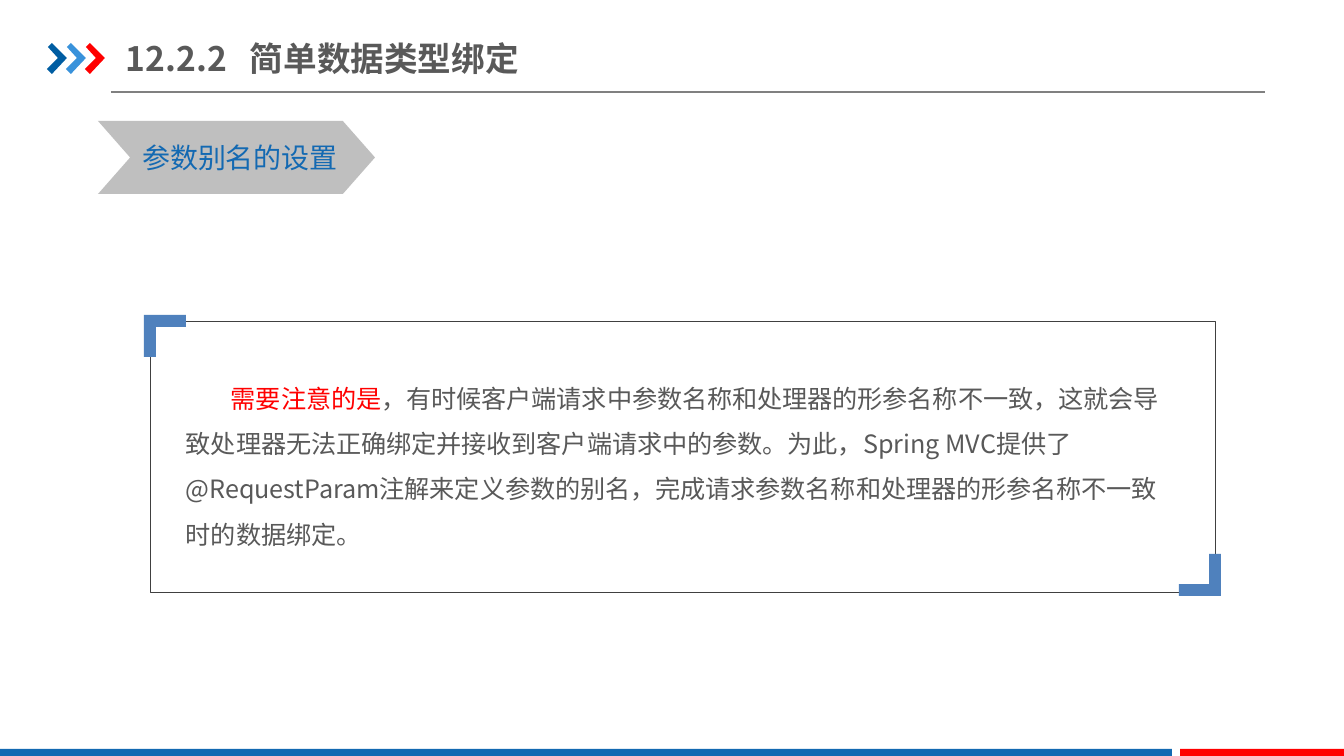
from dataclasses import dataclass

from lxml.etree import SubElement
from pptx import Presentation
from pptx.dml.color import RGBColor
from pptx.enum.shapes import MSO_CONNECTOR, MSO_SHAPE
from pptx.enum.text import MSO_ANCHOR
from pptx.oxml.ns import qn
from pptx.shapes.autoshape import Shape
from pptx.slide import Slide
from pptx.text.text import TextFrame, _Paragraph, _Run
from pptx.util import Emu, Pt

EMU_PER_PX = 914400 / 134.4
FONT = "Noto Sans CJK SC"

WHITE = RGBColor(0xFF, 0xFF, 0xFF)
NAVY = RGBColor(0x00, 0x5D, 0xA2)
SKY = RGBColor(0x39, 0x92, 0xDB)
RED = RGBColor(0xFF, 0x00, 0x00)
BLUE = RGBColor(0x13, 0x69, 0xB2)
CORNER_BLUE = RGBColor(0x4F, 0x81, 0xBD)
SILVER = RGBColor(0xBF, 0xBF, 0xBF)
GRAY = RGBColor(0x80, 0x80, 0x80)
TEXT_GRAY = RGBColor(0x59, 0x59, 0x59)
FRAME_GRAY = RGBColor(0x40, 0x40, 0x40)

ARROW_POINTS = [(1, 4), (5, 0), (20, 15), (5, 31), (0, 26), (11, 15)]
CORNER_POINTS = [(0, 0), (42, 0), (42, 12), (12, 12), (12, 42), (0, 42)]
ARROW_STEP = 19


@dataclass
class Area:
    left: int
    top: int
    width: int
    height: int

    def emu(self) -> list[Emu]:
        return [px(n) for n in (self.left, self.top, self.width, self.height)]


@dataclass
class Outline:
    left: int
    top: int
    points: list[tuple[int, int]]
    color: RGBColor
    rotation: int = 0


@dataclass
class Block:
    preset: MSO_SHAPE
    area: Area
    color: RGBColor


def px(length: int) -> Emu:
    return Emu(round(length * EMU_PER_PX))


def paint(shape: Shape, color: RGBColor) -> None:
    shape.shadow.inherit = False
    shape.fill.solid()
    shape.fill.fore_color.rgb = color
    shape.line.fill.background()


def draw_block(page: Slide, block: Block) -> Shape:
    shape = page.shapes.add_shape(block.preset, *block.area.emu())
    paint(shape, block.color)
    return shape


def draw_outline(page: Slide, outline: Outline) -> None:
    points = [(outline.left + x, outline.top + y) for x, y in outline.points]
    builder = page.shapes.build_freeform(*points[0], scale=EMU_PER_PX)
    builder.add_line_segments(points[1:], close=True)
    shape = builder.convert_to_shape()
    paint(shape, outline.color)
    shape.rotation = outline.rotation


def add_text_frame(page: Slide, area: Area, side: int, edge: int) -> TextFrame:
    """Add a wrapping text box with the given horizontal and vertical insets."""
    frame = page.shapes.add_textbox(*area.emu()).text_frame
    frame.word_wrap = True
    frame.margin_left = frame.margin_right = px(side)
    frame.margin_top = frame.margin_bottom = px(edge)
    return frame


def add_span(para: _Paragraph, text: str, size: float, color: RGBColor) -> _Run:
    span = para.add_run()
    span.text = text
    span.font.size = Pt(size)
    span.font.color.rgb = color
    span.font.name = FONT
    SubElement(span.font._element, qn("a:ea"), typeface=FONT)
    return span


def draw_header(page: Slide) -> None:
    rule = page.shapes.add_connector(
        MSO_CONNECTOR.STRAIGHT, px(111), px(92), px(1265), px(92)
    )
    rule.line.color.rgb = GRAY
    rule.line.width = Pt(0.75)
    SubElement(rule._element.spPr, qn("a:effectLst"))

    for index, color in enumerate((NAVY, SKY, RED)):
        draw_outline(page, Outline(47 + index * ARROW_STEP, 43, ARROW_POINTS, color))

    frame = add_text_frame(page, Area(126, 30, 445, 56), 0, 7)
    frame.vertical_anchor = MSO_ANCHOR.MIDDLE
    para = frame.paragraphs[0]
    tabs = SubElement(para._p.get_or_add_pPr(), qn("a:tabLst"))
    SubElement(tabs, qn("a:tab"), pos=str(px(124)), algn="l")
    add_span(para, "12.2.2\t简单数据类型绑定", 18, TEXT_GRAY).font.bold = True


def draw_topic(page: Slide) -> None:
    banner = draw_block(page, Block(MSO_SHAPE.CHEVRON, Area(98, 121, 277, 73), SILVER))
    banner.adjustments[0] = 0.44
    frame = add_text_frame(page, Area(129, 134, 246, 47), 13, 7)
    add_span(frame.paragraphs[0], "参数别名的设置", 15, BLUE)


def draw_note(page: Slide) -> None:
    frame = add_text_frame(page, Area(177, 363, 1001, 200), 9, 5)
    para = frame.paragraphs[0]
    para.line_spacing = 1.5
    para._p.get_or_add_pPr().set("indent", str(px(45)))
    add_span(para, "需要注意的是", 13.5, RED)
    add_span(
        para,
        "，有时候客户端请求中参数名称和处理器的形参名称不一致，"
        "这就会导致处理器无法正确绑定并接收到客户端请求中的参数。"
        "为此，Spring MVC提供了@RequestParam注解来定义参数的别名，"
        "完成请求参数名称和处理器的形参名称不一致时的数据绑定。",
        13.5,
        TEXT_GRAY,
    )

    border = page.shapes.add_shape(
        MSO_SHAPE.RECTANGLE, *Area(150, 321, 1065, 271).emu()
    )
    border.shadow.inherit = False
    border.fill.background()
    border.line.color.rgb = FRAME_GRAY
    border.line.width = Pt(0.25)

    draw_outline(page, Outline(144, 315, CORNER_POINTS, CORNER_BLUE))
    draw_outline(page, Outline(1179, 554, CORNER_POINTS, CORNER_BLUE, 180))


def draw_footer(page: Slide) -> None:
    for left, width, color in ((0, 1172, BLUE), (1180, 164, RED)):
        draw_block(page, Block(MSO_SHAPE.RECTANGLE, Area(left, 749, width, 7), color))


def main() -> None:
    deck = Presentation()
    deck.slide_width, deck.slide_height = px(1344), px(756)
    page = deck.slides.add_slide(deck.slide_layouts[6])
    page.background.fill.solid()
    page.background.fill.fore_color.rgb = WHITE
    draw_header(page)
    draw_footer(page)
    draw_topic(page)
    draw_note(page)
    deck.save("out.pptx")


if __name__ == "__main__":
    main()
